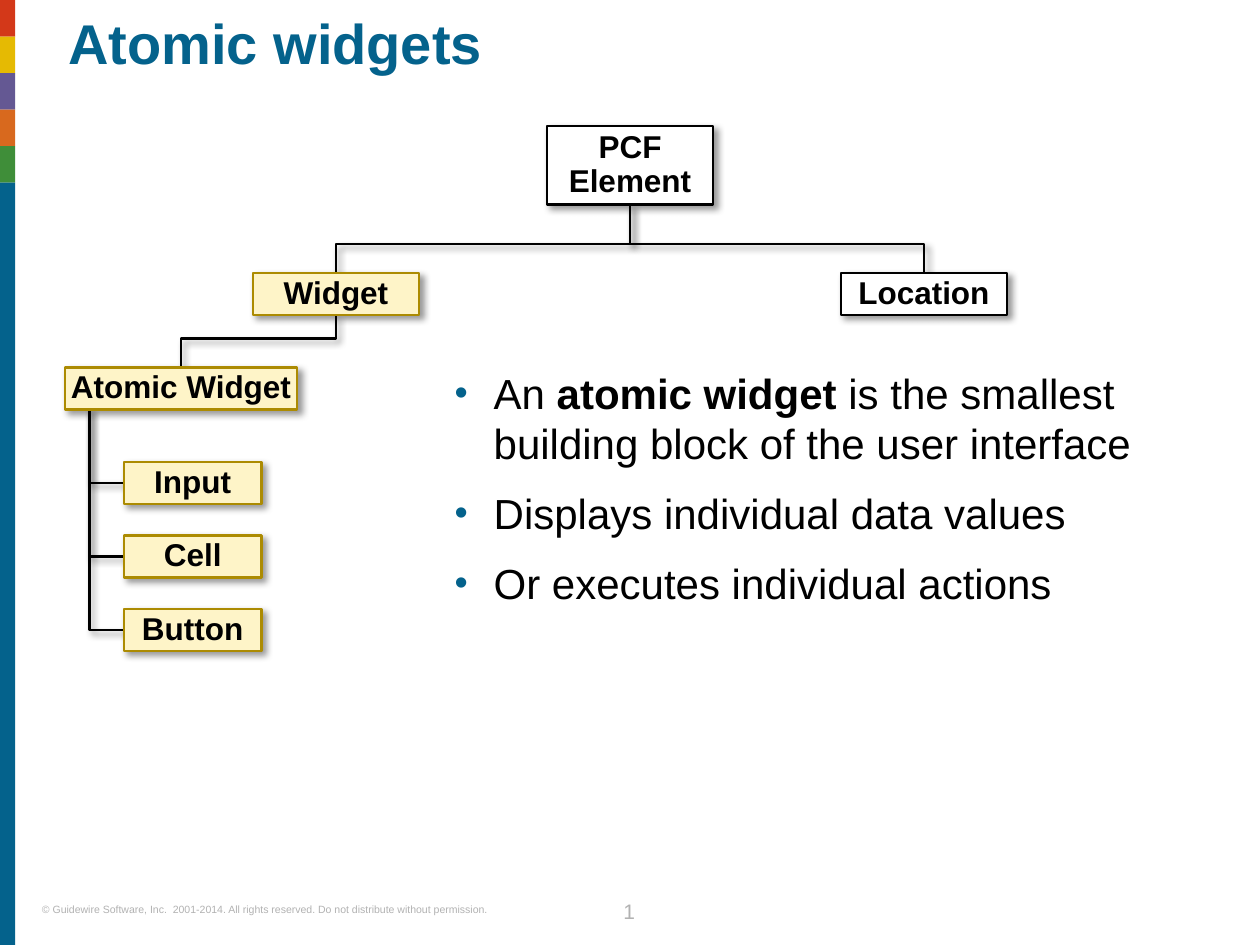
from lxml import etree
from pptx import Presentation
from pptx import util as u
from pptx.dml.color import RGBColor
from pptx.enum import shapes, text
from pptx.oxml import parse_xml
from pptx.oxml.ns import nsdecls, qn

SLIDE_WIDTH, SLIDE_HEIGHT = u.Inches(10), u.Inches(7.5)
CELL = SLIDE_WIDTH / 120  # the grid has 120 columns and 90 rows
BLACK, WHITE, BLUE, GREY = "000000", "FFFFFF", "04628C", "B2B2B2"
CREAM, GOLD = "FEF4C8", "AC8B02"
STRIPES = ["D33819", "E5BA03", "645893", "D8691E", "3F8E39"]
STRIPE_WIDTH, STRIPE_ROWS = 1.44, 3.48
BOX_ROWS = 4
BULLETS = [
    [("An ", False), ("atomic widget", True),
     (" is the smallest building block of the user interface", False)],
    [("Displays individual data values", False)],
    [("Or executes individual actions", False)],
]


def grid(*cells):
    return [u.Emu(round(cell * CELL)) for cell in cells]


def color(hex_value):
    return RGBColor.from_string(hex_value)


def apply(target, values):
    for name, value in values.items():
        setattr(target, name, value)


def set_font(font, size, hex_value, bold=False):
    apply(font, {"name": "Arial", "size": u.Pt(size), "bold": bold})
    font.color.rgb = color(hex_value)


def set_frame(frame, inset=0, anchor=text.MSO_ANCHOR.TOP):
    margins = {f"margin_{side}": u.Inches(inset)
               for side in ("left", "top", "right", "bottom")}
    apply(frame, {**margins, "word_wrap": True, "vertical_anchor": anchor,
                  "auto_size": text.MSO_AUTO_SIZE.NONE})


def outline(shape, hex_value):
    """Give the shape its 1.5 pt line and soft shadow."""
    shape.line.color.rgb = color(hex_value)
    shape.line.width = u.Pt(1.5)
    shape.shadow.inherit = False
    effects = shape._element.spPr.find(qn("a:effectLst"))
    effects.append(parse_xml(
        f'<a:outerShdw {nsdecls("a")} blurRad="50800" dist="38100" dir="2700000" '
        'algn="tl" rotWithShape="0"><a:srgbClr val="000000">'
        '<a:alpha val="40000"/></a:srgbClr></a:outerShdw>'))


def add_bar(slide, top, rows, fill):
    bar = slide.shapes.add_shape(shapes.MSO_SHAPE.RECTANGLE,
                                 *grid(0, top, STRIPE_WIDTH, rows))
    bar.fill.solid()
    bar.fill.fore_color.rgb = color(fill)
    bar.line.fill.background()
    bar.shadow.inherit = False


def add_branch(slide, *points):
    start, *rest = [grid(*point) for point in points]
    builder = slide.shapes.build_freeform(*start)
    builder.add_line_segments(rest, close=False)
    branch = builder.convert_to_shape()
    branch.fill.background()
    outline(branch, BLACK)


def add_box(slide, label, center, top, columns, rows=BOX_ROWS, fill=CREAM, line=GOLD):
    box = slide.shapes.add_shape(shapes.MSO_SHAPE.RECTANGLE,
                                 *grid(center - columns / 2, top, columns, rows))
    box.fill.solid()
    box.fill.fore_color.rgb = color(fill)
    outline(box, line)
    set_frame(box.text_frame, 0.01, text.MSO_ANCHOR.MIDDLE)
    paragraph = box.text_frame.paragraphs[0]
    apply(paragraph, {"text": label, "alignment": text.PP_ALIGN.CENTER,
                      "line_spacing": 0.9})
    set_font(paragraph.font, 18, BLACK, True)


def add_text(slide, *cells):
    frame = slide.shapes.add_textbox(*grid(*cells)).text_frame
    set_frame(frame)
    return frame


def add_title(slide, wording):
    title = slide.shapes.title
    apply(title, dict(zip(("left", "top", "width", "height"),
                          grid(6.5, 1.55, 109.2, 9.7))))
    set_frame(title.text_frame)
    paragraph = title.text_frame.paragraphs[0]
    apply(paragraph, {"text": wording, "alignment": text.PP_ALIGN.LEFT,
                      "line_spacing": 0.9})
    set_font(paragraph.font, 32, BLUE, True)


def add_bullets(slide):
    frame = add_text(slide, 43.3, 35, 72.6, 49)
    for index, parts in enumerate(BULLETS):
        paragraph = frame.add_paragraph() if index else frame.paragraphs[0]
        properties = paragraph._p.get_or_add_pPr()
        indent = u.Inches(0.31)
        properties.set("marL", str(indent))
        properties.set("indent", str(-indent))
        bullet_color = etree.SubElement(properties, qn("a:buClr"))
        etree.SubElement(bullet_color, qn("a:srgbClr"), val=BLUE)
        etree.SubElement(properties, qn("a:buSzPct"), val="90000")
        etree.SubElement(properties, qn("a:buFont"), typeface="Arial")
        etree.SubElement(properties, qn("a:buChar"), char="•")
        if index:
            paragraph.space_before = u.Pt(11)
        for wording, bold in parts:
            run = paragraph.add_run()
            run.text = wording
            set_font(run.font, 24, BLACK, bold)


def add_footer(slide):
    notice = add_text(slide, 4, 86, 48.2, 1.2).paragraphs[0]
    notice.text = ("© Guidewire Software, Inc.  2001-2014. All rights reserved. "
                   "Do not distribute without permission.")
    set_font(notice.font, 6, GREY)

    number = add_text(slide, 56.5, 85, 6.85, 3).paragraphs[0]
    apply(number, {"alignment": text.PP_ALIGN.CENTER, "line_spacing": u.Pt(18)})
    run = number.add_run()
    run.text = "5"
    set_font(run.font, 12, GREY)
    field = etree.SubElement(number._p, qn("a:fld"), type="slidenum",
                             id="{B6F15528-21DE-4FAA-801E-634DDDAF4B2B}")
    field.extend(list(run._r))
    number._p.remove(run._r)


def add_tree(slide):
    root, widget, location, atomic = 60, 32, 88, 17.25
    root_top, level_top, atomic_top = 12, 26, 35
    root_rows, box_columns = 7.5, 15.84
    trunk, child_left, child_columns = 8.5, 11.8, 13.1
    children = [(label, 44 + 7 * index)
                for index, label in enumerate(("Input", "Cell", "Button"))]

    for center in (location, widget):
        add_branch(slide, (root, root_top + root_rows), (root, 23.25),
                   (center, 23.25), (center, level_top))
    add_branch(slide, (widget, level_top + BOX_ROWS), (widget, 32.25),
               (atomic, 32.25), (atomic, atomic_top))
    for _, top in reversed(children):
        middle = top + BOX_ROWS / 2
        add_branch(slide, (trunk, atomic_top + BOX_ROWS), (trunk, middle),
                   (child_left, middle))

    plain = {"fill": WHITE, "line": BLACK}
    add_box(slide, "PCF Element", root, root_top, box_columns, root_rows, **plain)
    add_box(slide, "Widget", widget, level_top, box_columns)
    add_box(slide, "Location", location, level_top, box_columns, **plain)
    add_box(slide, "Atomic Widget", atomic, atomic_top, 22.1)
    for label, top in children:
        add_box(slide, label, child_left + child_columns / 2, top, child_columns)


def main():
    deck = Presentation()
    apply(deck, {"slide_width": SLIDE_WIDTH, "slide_height": SLIDE_HEIGHT})
    slide = deck.slides.add_slide(deck.slide_layouts[5])
    for index, fill in enumerate(STRIPES):
        add_bar(slide, index * STRIPE_ROWS, STRIPE_ROWS, fill)
    stripes_end = len(STRIPES) * STRIPE_ROWS
    add_bar(slide, stripes_end, 90 - stripes_end, BLUE)
    add_title(slide, "Atomic widgets")
    add_bullets(slide)
    add_tree(slide)
    add_footer(slide)
    deck.save("out.pptx")


if __name__ == "__main__":
    main()
